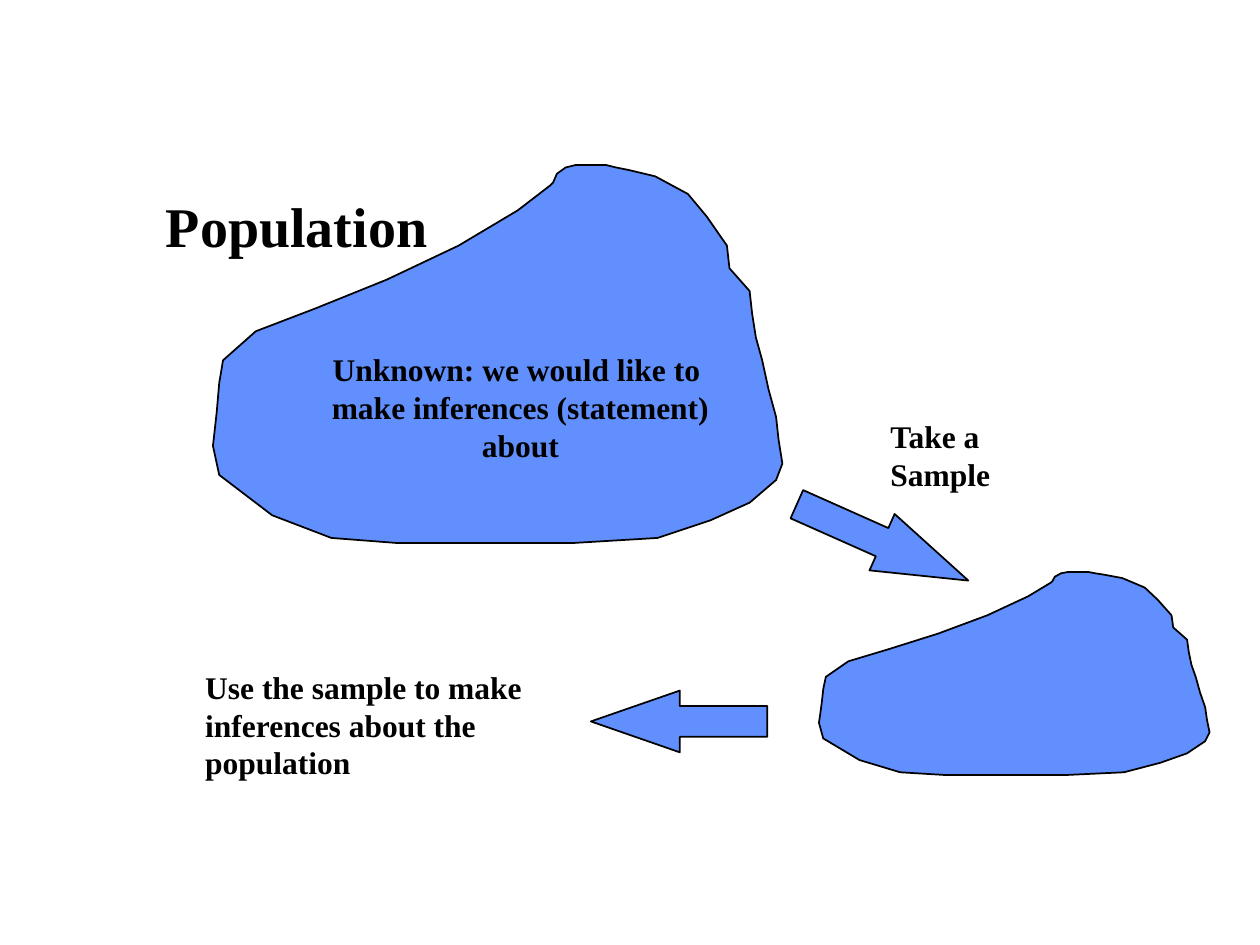
from pptx import Presentation
from pptx import util as u
from pptx.dml.color import RGBColor
from pptx.enum import shapes, text

BLUE = RGBColor(0x61, 0x8F, 0xFD)
BLACK = RGBColor(0, 0, 0)
FONT = "Times New Roman"

# Outline shared by the population and the sample, on a 452 by 300 grid
BLOB_WIDTH, BLOB_HEIGHT = 452, 300
BLOB = [
    (268, 16), (242, 36), (195, 64), (138, 91), (81, 114), (34, 132), (8, 155),
    (5, 173), (3, 196), (0, 223), (5, 246), (47, 278), (94, 296), (146, 300),
    (213, 300), (286, 300), (353, 296), (395, 282), (426, 268), (447, 250),
    (452, 237), (449, 218), (447, 200), (441, 178), (436, 155), (431, 137),
    (428, 118), (426, 100), (410, 82), (408, 64), (392, 41), (377, 23),
    (351, 9), (330, 4), (320, 2), (312, 0), (288, 0), (280, 2), (273, 7),
    (270, 14),
]

deck = Presentation()
deck.slide_width, deck.slide_height = u.Pt(720), u.Pt(540)
page = deck.slides.add_slide(deck.slide_layouts[6])


def paint(shape):
    """Give a shape the blue fill and thin black outline."""
    shape.shadow.inherit = False
    shape.fill.solid()
    shape.fill.fore_color.rgb = BLUE
    shape.line.color.rgb = BLACK
    shape.line.width = u.Pt(1)


def add_text(lines, left, top, width, height, size=18, align=text.PP_ALIGN.LEFT,
             anchor=text.MSO_ANCHOR.TOP, before=0, bottom=3.6):
    """Add a bold text box with one paragraph per line."""
    box = page.shapes.add_textbox(u.Pt(left), u.Pt(top), u.Pt(width), u.Pt(height))
    frame = box.text_frame
    frame.word_wrap = True
    frame.auto_size = text.MSO_AUTO_SIZE.SHAPE_TO_FIT_TEXT
    frame.vertical_anchor = anchor
    frame.margin_bottom = u.Pt(bottom)
    for index, line in enumerate(lines):
        para = frame.paragraphs[0] if index == 0 else frame.add_paragraph()
        para.alignment = align
        para.space_before = u.Pt(before)
        span = para.add_run()
        span.text = line
        span.font.name = FONT
        span.font.size = u.Pt(size)
        span.font.bold = True
        span.font.color.rgb = BLACK


# Population and sample
for left, top, width, height in [(121.7, 94.3, 325.4, 216), (468, 326.9, 223.2, 116)]:
    scale = (u.Pt(width) / BLOB_WIDTH, u.Pt(height) / BLOB_HEIGHT)
    outline = page.shapes.build_freeform(*BLOB[0], scale=scale)
    outline.add_line_segments(BLOB[1:], close=True)
    paint(outline.convert_to_shape(u.Pt(left), u.Pt(top)))

# Arrows: into the sample, then back to the inference
for left, top, width, turn, head, flipped in [
    (450.7, 292.3, 107.3, 24, 1.53, False),
    (337.7, 394.6, 100.8, 0, 1.44, True),
]:
    arrow = page.shapes.add_shape(
        shapes.MSO_SHAPE.RIGHT_ARROW, u.Pt(left), u.Pt(top), u.Pt(width), u.Pt(35.3))
    arrow.adjustments[0] = 0.5
    arrow.adjustments[1] = head
    arrow.rotation = turn
    if flipped:
        arrow._element.spPr.xfrm.set("flipH", "1")
    paint(arrow)

add_text(["Population"], 87.8, 105.8, 204.5, 45.4, size=32, before=3.5)
add_text(["Unknown: we would like to ", "make inferences (statement) about"],
         161.3, 196.6, 272.2, 68.4, align=text.PP_ALIGN.CENTER,
         anchor=text.MSO_ANCHOR.MIDDLE, bottom=0)
add_text(["Take a", "Sample"], 501.8, 234.7, 79.2, 50.4,
         anchor=text.MSO_ANCHOR.MIDDLE)
add_text(["Use the sample to make inferences about the population"],
         110.2, 378, 204.5, 72.7)

deck.save("out.pptx")
